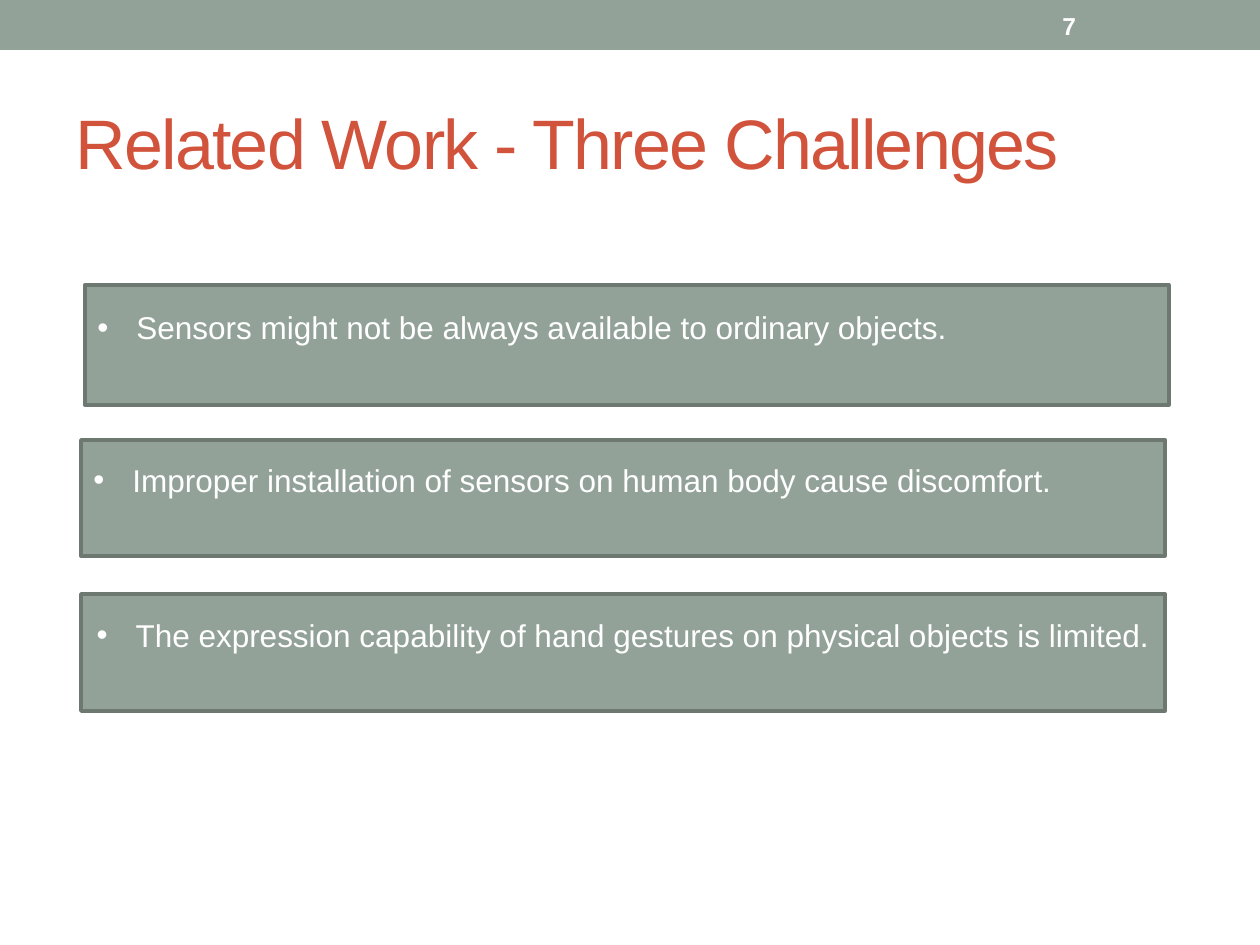
from pptx import Presentation, util as u
from pptx.dml.color import RGBColor
from pptx.enum import shapes, text
from pptx.oxml.ns import qn
from lxml import etree

PX = u.Inches(1) / 126
COLORS = {"sage": "93A299", "outline": "6D7871", "title": "D2533C", "white": "FFFFFF"}


def add_box(left, top, width, height, fill=None):
    place = [round(value * PX) for value in (left, top, width, height)]
    if fill is None:
        return slide.shapes.add_textbox(*place)
    shape = slide.shapes.add_shape(shapes.MSO_SHAPE.RECTANGLE, *place)
    shape.shadow.inherit = False
    shape.fill.solid()
    shape.fill.fore_color.rgb = RGBColor.from_string(COLORS[fill])
    shape.line.fill.background()
    return shape


def write(shape, wording, size, color, align=text.PP_ALIGN.LEFT):
    frame = shape.text_frame
    frame.word_wrap = True
    frame.vertical_anchor = text.MSO_ANCHOR.MIDDLE
    paragraph = frame.paragraphs[0]
    paragraph.text = wording
    paragraph.alignment = align
    paragraph.font.name = "Arial"
    paragraph.font.size = u.Pt(size)
    paragraph.font.color.rgb = RGBColor.from_string(COLORS[color])
    return paragraph


presentation = Presentation()
presentation.slide_width = u.Inches(10)
presentation.slide_height = u.Inches(7.5)
slide = presentation.slides.add_slide(presentation.slide_layouts[6])

# Top band and slide number
add_box(0, 0, 1260, 50, "sage")
number = write(add_box(1050, 3, 147, 45), "7", 14, "white")
number.font.bold = True

# Title with tightened letter spacing
title = write(add_box(63, 73, 1134, 136), "Related Work - Three Challenges", 40, "title")
title.runs[0].font.size = u.Pt(40)
title.runs[0]._r.get_or_add_rPr().set("spc", "-100")

# Challenge boxes
challenges = [
    (85, 285, 120, text.PP_ALIGN.LEFT,
     "Sensors might not be always available to ordinary objects."),
    (81, 440, 116, text.PP_ALIGN.LEFT,
     "Improper installation of sensors on human body cause discomfort."),
    (81, 594, 117, text.PP_ALIGN.CENTER,
     "The expression capability of hand gestures on physical objects is limited."),
]
for left, top, height, align, wording in challenges:
    box = add_box(left, top, 1084, height, "sage")
    box.line.color.rgb = RGBColor.from_string(COLORS["outline"])
    box.line.width = u.Pt(2.08)
    paragraph = write(box, wording, 18, "white", align)
    # A deep bottom inset lifts the text above the middle
    box.text_frame.margin_bottom = round(42 * PX)
    properties = paragraph._p.get_or_add_pPr()
    properties.set("marL", str(round(39 * PX)))
    properties.set("indent", str(round(-39 * PX)))
    bullet_font = etree.Element(qn("a:buFont"), typeface="Arial")
    bullet = etree.Element(qn("a:buChar"), char="•")
    properties.insert(0, bullet_font)
    properties.insert(1, bullet)

presentation.save("out.pptx")
